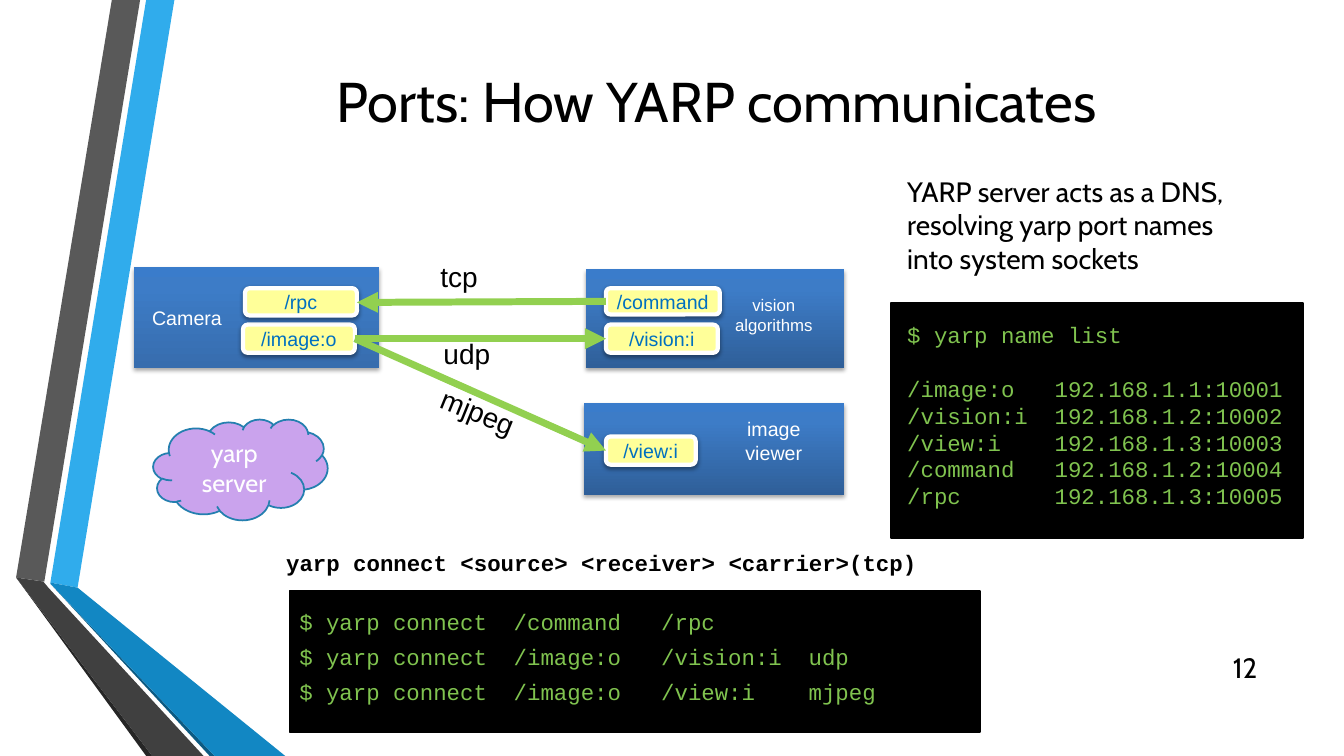
from lxml import etree
from pptx import Presentation
from pptx.dml.color import RGBColor
from pptx.enum.shapes import MSO_CONNECTOR, MSO_SHAPE
from pptx.enum.text import MSO_ANCHOR, PP_ALIGN
from pptx.oxml import parse_xml
from pptx.oxml.ns import nsdecls, qn
from pptx.util import Inches, Pt

STRAIGHT = MSO_CONNECTOR.STRAIGHT
RECT, ROUNDED, CLOUD = MSO_SHAPE.RECTANGLE, MSO_SHAPE.ROUNDED_RECTANGLE, MSO_SHAPE.CLOUD
TOP, MIDDLE = MSO_ANCHOR.TOP, MSO_ANCHOR.MIDDLE
LEFT, CENTER, RIGHT = PP_ALIGN.LEFT, PP_ALIGN.CENTER, PP_ALIGN.RIGHT

BLACK = RGBColor(0x00, 0x00, 0x00)
WHITE = RGBColor(0xFF, 0xFF, 0xFF)
SKY = RGBColor(0x30, 0xAC, 0xEC)
GREY = RGBColor(0x59, 0x59, 0x59)
DARK_GREY = RGBColor(0x26, 0x26, 0x26)
NAVY = RGBColor(0x0C, 0x5A, 0x82)
OCEAN = RGBColor(0x12, 0x87, 0xC3)
CHARCOAL = RGBColor(0x40, 0x40, 0x40)
PORT_YELLOW = RGBColor(0xFF, 0xFF, 0x99)
PORT_BLUE = RGBColor(0x00, 0x70, 0xC0)
ARROW_GREEN = RGBColor(0x92, 0xD0, 0x50)
CODE_GREEN = RGBColor(0x80, 0xC3, 0x4F)
LILAC = RGBColor(0xCA, 0xA3, 0xED)
CLOUD_EDGE = RGBColor(0x24, 0x7F, 0xAF)
VIEW_BASE = RGBColor(0x2F, 0x5F, 0x99)
CAMERA_BASE = RGBColor(0x37, 0x6D, 0xAE)
MODULE_MID = RGBColor(0x3D, 0x7C, 0xC7)
MODULE_TOP = RGBColor(0x3A, 0x7C, 0xCB)

HEADING, LABEL, CODE = "Cabin", "Arial", "Courier New"


class PortsSlide:
    def __init__(self, slide):
        self.shapes = slide.shapes

    def band(self, color, points):
        """Filled polygon of the side decoration."""
        corners = [(Inches(x), Inches(y)) for x, y in points]
        builder = self.shapes.build_freeform(*corners[0])
        builder.add_line_segments(corners[1:], close=True)
        band = builder.convert_to_shape()
        band.shadow.inherit = False
        band.fill.solid()
        band.fill.fore_color.rgb = color
        band.line.fill.background()

    def set_lines(self, frame, lines, font, size, color, align, anchor, bold=False, gap=0):
        """Put one paragraph per line; gap follows the first line."""
        frame.word_wrap = True
        frame.vertical_anchor = anchor
        for i, line in enumerate(lines):
            paragraph = frame.add_paragraph() if i else frame.paragraphs[0]
            paragraph.alignment = align
            if i == 1 and gap:
                paragraph.space_before = Pt(gap)
            run = paragraph.add_run()
            run.text = line
            run.font.name = font
            run.font.size = Pt(size)
            run.font.bold = bold
            run.font.color.rgb = color

    def text(self, box, lines, font, size, color=BLACK, align=LEFT, anchor=TOP,
             bold=False, gap=0, rotation=0):
        label = self.shapes.add_textbox(*map(Inches, box))
        label.rotation = rotation
        self.set_lines(label.text_frame, lines, font, size, color, align, anchor, bold, gap)

    def shape(self, kind, box, fill=None, edge=None, width=1.25):
        shape = self.shapes.add_shape(kind, *map(Inches, box))
        shape.shadow.inherit = False
        if fill is not None:
            shape.fill.solid()
            shape.fill.fore_color.rgb = fill
        if edge is None:
            shape.line.fill.background()
        else:
            shape.line.color.rgb = edge
            shape.line.width = Pt(width)
        return shape

    def drop_shadow(self, shape, opacity, distance):
        effects = shape.element.spPr.find(qn("a:effectLst"))
        effects.append(parse_xml(
            f'<a:outerShdw {nsdecls("a")} blurRad="{Pt(3.1)}" dist="{Pt(distance)}" '
            f'dir="5400000" rotWithShape="0"><a:srgbClr val="000000">'
            f'<a:alpha val="{opacity * 1000}"/></a:srgbClr></a:outerShdw>'))

    def module(self, box, base):
        """Blue block with a three-stop gradient, darkest at the bottom."""
        block = self.shape(RECT, box)
        block.fill.gradient()
        block.fill.gradient_angle = 90
        stops = block.element.spPr.find(qn("a:gradFill")).find(qn("a:gsLst"))
        for stop in list(stops):
            stops.remove(stop)
        for percent, color in ((0, base), (80, MODULE_MID), (100, MODULE_TOP)):
            stops.append(parse_xml(
                f'<a:gs {nsdecls("a")} pos="{percent * 1000}"><a:srgbClr val="{color}"/></a:gs>'))
        self.drop_shadow(block, 35, 1.8)

    def port(self, box, name):
        port = self.shape(ROUNDED, box, PORT_YELLOW, WHITE, 3)
        self.drop_shadow(port, 38, 1.6)
        self.set_lines(port.text_frame, [name], LABEL, 14, PORT_BLUE, CENTER, MIDDLE)
        port.text_frame.word_wrap = False

    def arrow(self, start, end):
        arrow = self.shapes.add_connector(STRAIGHT, *map(Inches, start + end))
        arrow.line.color.rgb = ARROW_GREEN
        arrow.line.width = Pt(5)
        properties = arrow.element.spPr
        etree.SubElement(properties.find(qn("a:ln")), qn("a:tailEnd"), type="triangle")
        etree.SubElement(properties, qn("a:effectLst"))


def main():
    deck = Presentation()
    deck.slide_width, deck.slide_height = Inches(13.33), Inches(7.5)
    page = PortsSlide(deck.slides.add_slide(deck.slide_layouts[6]))

    # Side decoration
    page.band(SKY, [(0.5, 5.78), (0.77, 5.83), (1.73, 0), (1.45, 0)])
    page.band(GREY, [(1.39, 0), (1.11, 0), (0.16, 5.73), (0.44, 5.77)])
    page.band(DARK_GREY, [(0.16, 5.73), (1.45, 7.5), (1.51, 7.5)])
    page.band(NAVY, [(0.5, 5.79), (2.08, 7.5), (2.13, 7.5)])
    page.band(OCEAN, [(0.5, 5.78), (0.5, 5.79), (2.13, 7.5), (2.83, 7.5), (0.77, 5.83)])
    page.band(CHARCOAL, [(2.02, 7.5), (0.48, 5.83), (0.43, 5.77), (0.16, 5.73), (1.51, 7.5)])

    # Title and explanation
    page.text((1.63, 0.03, 10.95, 1.92), ["Ports: How YARP communicates"],
              HEADING, 40, align=CENTER, anchor=MIDDLE)
    page.text((8.9, 1.68, 3.64, 1.11),
              ["YARP server acts as a DNS, resolving yarp port names into system sockets"],
              HEADING, 20)

    # Modules and their names
    for box, base, name_box, name, size in (
        ((5.81, 2.67, 2.56, 0.98), VIEW_BASE, (7.12, 2.87, 1.11, 0.5), ["vision", "algorithms"], 12),
        ((1.33, 2.65, 2.43, 1), CAMERA_BASE, (1.4, 2.99, 0.91, 0.34), ["Camera"], 14),
        ((5.79, 4, 2.58, 0.91), VIEW_BASE, (7.14, 4.09, 1.07, 0.57), ["image", "viewer"], 14),
    ):
        page.module(box, base)
        page.text(name_box, name, LABEL, size, WHITE, CENTER)

    # Ports
    for box, name in (
        ((6.01, 3.22, 1.11, 0.28), "/vision:i"),
        ((2.41, 3.22, 1.11, 0.28), "/image:o"),
        ((6.01, 4.33, 0.89, 0.28), "/view:i"),
        ((2.43, 2.86, 1.11, 0.27), "/rpc"),
        ((6.01, 2.86, 1.13, 0.26), "/command"),
    ):
        page.port(box, name)

    # Connections and carriers
    for start, end, carrier, box, rotation in (
        ((3.52, 3.36), (6.01, 3.36), "udp", (4.3, 3.29, 0.71, 0.44), 0),
        ((3.52, 3.36), (6.01, 4.47), "mjpeg", (4.26, 3.88, 1.01, 0.44), 22.1),
        ((6.01, 2.99), (3.54, 3), "tcp", (4.27, 2.53, 0.66, 0.44), 0),
    ):
        page.arrow(start, end)
        page.text(box, [carrier], LABEL, 20, rotation=rotation)

    # Name server
    server = page.shape(CLOUD, (1.52, 4.16, 1.73, 1), LILAC, CLOUD_EDGE)
    page.set_lines(server.text_frame, ["yarp server"], HEADING, 18, WHITE, CENTER, MIDDLE)

    # Terminal with the name list
    addresses = (("/image:o", "1.1:10001"), ("/vision:i", "1.2:10002"), ("/view:i", "1.3:10003"),
                 ("/command", "1.2:10004"), ("/rpc", "1.3:10005"))
    listing = [f"{port:<11}192.168.{address}" for port, address in addresses]
    page.shape(RECT, (8.84, 3.01, 4.08, 2.33), BLACK, BLACK)
    page.text((8.9, 3.14, 4.06, 2.26), ["$ yarp name list"] + listing, CODE, 16, CODE_GREEN, gap=19)

    # Terminal with the connect commands
    page.text((2.74, 5.4, 8.59, 0.37), ["yarp connect <source> <receiver> <carrier>(tcp)"],
              CODE, 16, bold=True)
    page.shape(RECT, (2.87, 5.86, 6.85, 1.4), BLACK, BLACK)
    commands = (("/command", "/rpc", ""), ("/image:o", "/vision:i", "udp"),
                ("/image:o", "/view:i", "mjpeg"))
    for row, (source, receiver, carrier) in enumerate(commands):
        command = f"$ yarp connect  {source:<11}{receiver:<11}{carrier}".rstrip()
        page.text((2.87, 5.98 + 0.35 * row, 7.11, 0.37), [command], CODE, 16, CODE_GREEN)

    # Slide number
    page.text((11.97, 6.42, 0.6, 0.4), ["12"], HEADING, 20, align=RIGHT, anchor=MIDDLE)

    deck.save("out.pptx")


if __name__ == "__main__":
    main()
